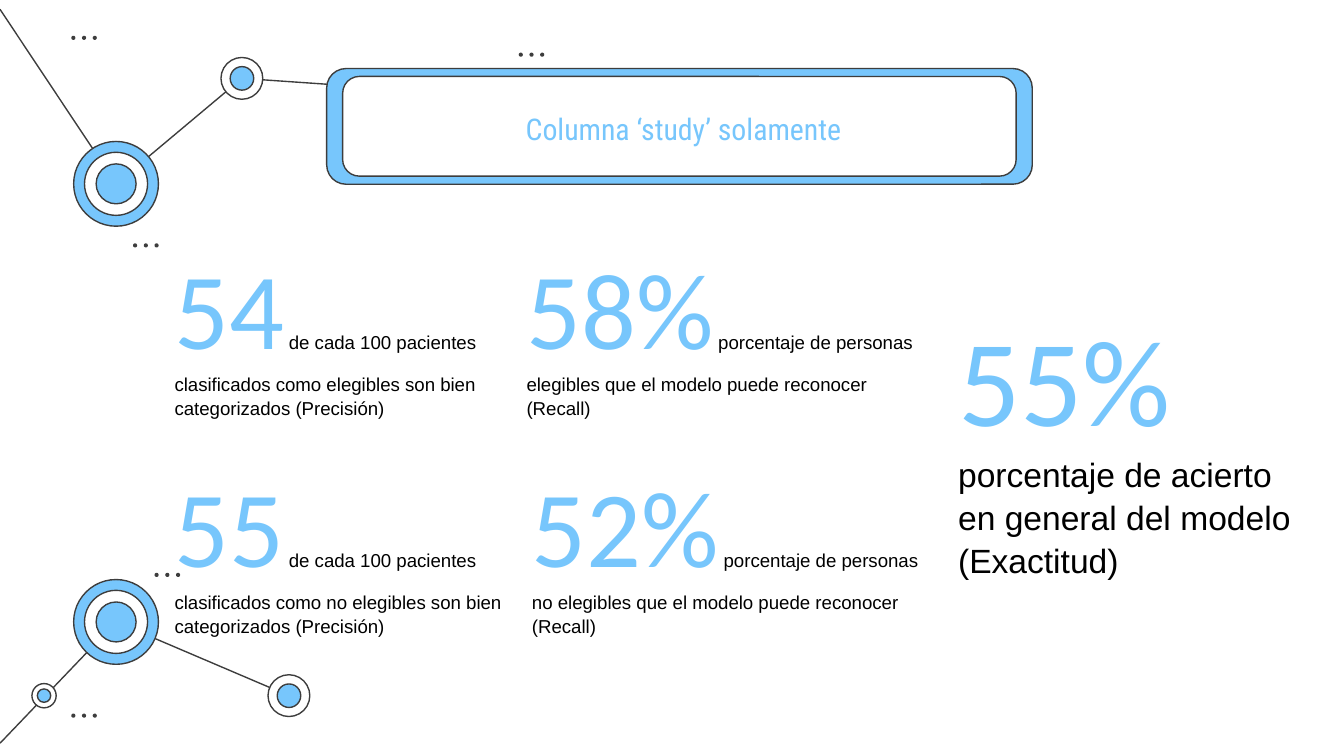
from lxml import etree
from pptx import Presentation
from pptx.dml.color import RGBColor
from pptx.enum import shapes, text
from pptx.oxml import ns
from pptx.util import Pt

COLORS = {"blue": "77C6FC", "dark": "3D3D3D", "white": "FFFFFF", "black": "000000"}
LINE_WIDTH = 0.75
DOT_SIZE, DOT_STEP = 2.2, 5.75
LARGE_NODE = [(45.4, "blue"), (33.8, "white"), (21.4, "blue")]
MEDIUM_NODE = [(22.4, "white"), (12.6, "blue")]
SMALL_NODE = [(13, "white"), (7.2, "blue")]


def color(name):
    """Return the named colour."""
    return RGBColor.from_string(COLORS[name])


def add_filled(slide, kind, box, fill, outlined=True):
    """Add a filled preset shape in the box, with or without outline."""
    shape = slide.shapes.add_shape(kind, *map(Pt, box))
    shape.shadow.inherit = False
    shape.fill.solid()
    shape.fill.fore_color.rgb = color(fill)
    if outlined:
        shape.line.color.rgb = color("dark")
        shape.line.width = Pt(LINE_WIDTH)
    else:
        shape.line.fill.background()
    return shape


def add_link(slide, start, end):
    """Add a thin line between two points."""
    link = slide.shapes.add_connector(
        shapes.MSO_CONNECTOR.STRAIGHT, *map(Pt, (*start, *end)))
    link.line.color.rgb = color("dark")
    link.line.width = Pt(LINE_WIDTH)
    etree.SubElement(link._element.spPr, ns.qn("a:effectLst"))


def add_node(slide, center, rings):
    """Add concentric circles around a centre."""
    x, y = center
    for size, fill in rings:
        box = (x - size / 2, y - size / 2, size, size)
        add_filled(slide, shapes.MSO_SHAPE.OVAL, box, fill)


def add_dots(slide, left, top):
    """Add a row of three small dots."""
    for index in range(3):
        box = (left + index * DOT_STEP, top, DOT_SIZE, DOT_SIZE)
        add_filled(slide, shapes.MSO_SHAPE.OVAL, box, "dark", outlined=False)


def add_network(slide, links, nodes, dots):
    """Add a decorative network of links, nodes and dot rows."""
    for start, end in links:
        add_link(slide, start, end)
    for center, rings in nodes:
        add_node(slide, center, rings)
    for left, top in dots:
        add_dots(slide, left, top)


def add_text_box(slide, box):
    """Add a wrapping text box and return its frame."""
    frame = slide.shapes.add_textbox(*map(Pt, box)).text_frame
    frame.word_wrap = True
    frame.margin_left = frame.margin_right = Pt(7.2)
    frame.margin_top = frame.margin_bottom = Pt(7.2)
    return frame


def add_title(slide, box, title):
    """Add the double rounded frame and its centred title."""
    left, top, width, height = box
    inner = (left + 8.6, top + 4.3, width - 17.2, height - 8.6)
    for frame_box, fill in ((box, "blue"), (inner, "white")):
        shape = add_filled(slide, shapes.MSO_SHAPE.ROUNDED_RECTANGLE, frame_box, fill)
        shape.adjustments[0] = 0.167
    frame = add_text_box(slide, (left + 10.8, top + 7.9, width - 17.2, height - 13.7))
    frame.vertical_anchor = text.MSO_ANCHOR.MIDDLE
    paragraph = frame.paragraphs[0]
    paragraph.text = title
    paragraph.alignment = text.PP_ALIGN.CENTER
    paragraph.font.name = "Roboto Condensed"
    paragraph.font.size = Pt(16)
    paragraph.font.color.rgb = color("blue")


def add_metric(slide, box, figure, caption, figure_size=58, caption_size=10):
    """Add a large figure followed by its caption."""
    paragraph = add_text_box(slide, box).paragraphs[0]
    paragraph.line_spacing = 1.07
    parts = ((figure, figure_size, "Calibri", "blue"),
             (" ", caption_size - 1, "Arial", "black"),
             (caption, caption_size, "Arial", "black"))
    for content, size, font, fill in parts:
        run = paragraph.add_run()
        run.text = content
        run.font.size = Pt(size)
        run.font.name = font
        run.font.color.rgb = color(fill)


def main():
    """Build and save the slide."""
    presentation = Presentation()
    presentation.slide_width, presentation.slide_height = Pt(720), Pt(405)
    slide = presentation.slides.add_slide(presentation.slide_layouts[6])

    upper_hub, upper_node = (62.2, 98.5), (129.6, 42)
    add_network(
        slide,
        links=[(upper_node, (261.4, 51.1)), (upper_hub, upper_node), ((0, 5), upper_hub)],
        nodes=[(upper_hub, LARGE_NODE), (upper_node, MEDIUM_NODE)],
        dots=[(277.9, 28.2), (38.2, 19.2), (71.3, 130.4)])

    lower_hub, lower_node = (62.2, 333.2), (154.8, 372.7)
    add_network(
        slide,
        links=[(lower_hub, lower_node), ((0, 398.2), lower_hub)],
        nodes=[(lower_hub, LARGE_NODE), (lower_node, MEDIUM_NODE),
               ((23.6, 372.7), SMALL_NODE)],
        dots=[(38.2, 382.3), (82.8, 306.9)])

    add_title(slide, (175, 36.7, 378, 62), "Columna ‘study’ solamente")

    metrics = [
        (86.4, 117.4, "54", "de cada 100 pacientes clasificados como elegibles "
                            "son bien categorizados (Precisión)"),
        (86.4, 234, "55", "de cada 100 pacientes clasificados como no elegibles "
                          "son bien categorizados (Precisión)"),
        (275, 117.4, "58%", "porcentaje de personas elegibles que el modelo "
                            "puede reconocer (Recall)"),
        (277.9, 234, "52%", "porcentaje de personas no elegibles que el modelo "
                            "puede reconocer (Recall)"),
    ]
    for left, top, figure, caption in metrics:
        add_metric(slide, (left, top, 224.6, 109.4), figure, caption)
    add_metric(slide, (506.2, 149.8, 201.6, 159.8), "55%",
               "porcentaje de acierto en general del modelo (Exactitud)",
               figure_size=66, caption_size=18)

    presentation.save("out.pptx")


if __name__ == "__main__":
    main()
